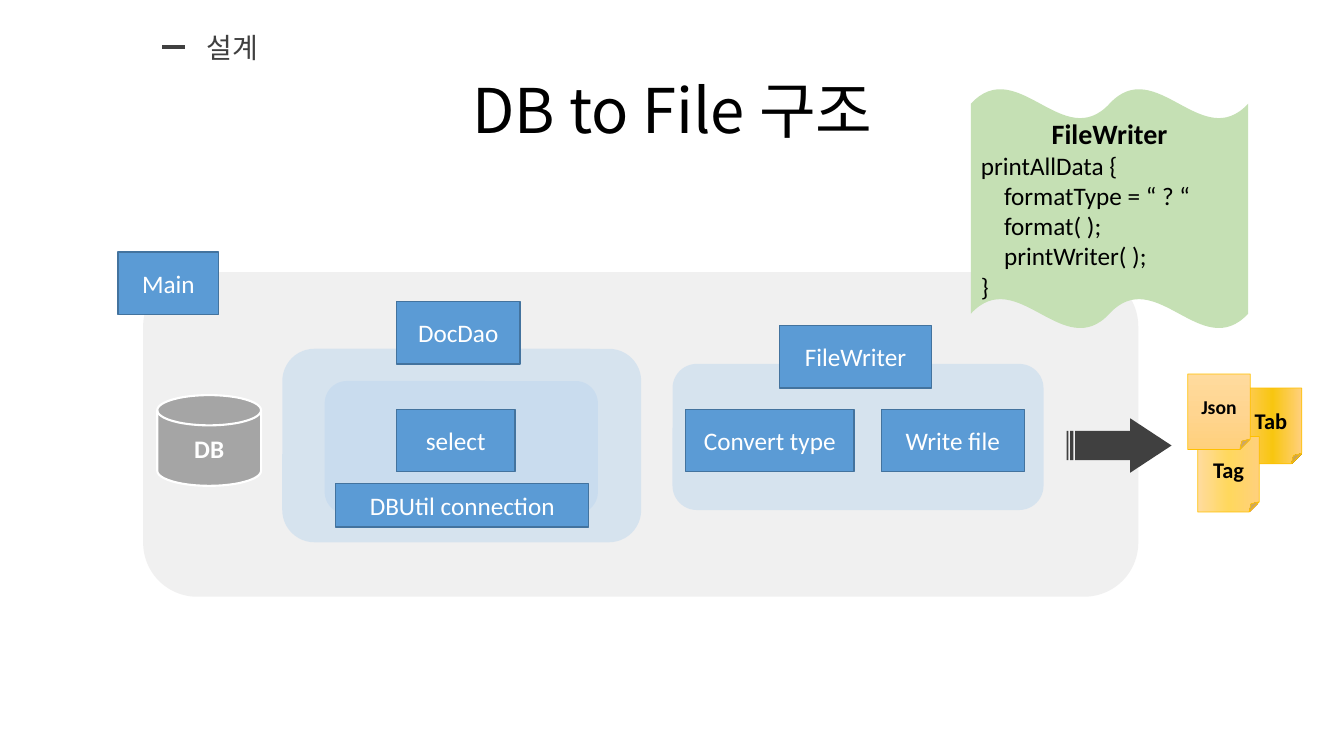
from lxml import etree
from pptx import Presentation
from pptx.dml.color import RGBColor
from pptx.enum.shapes import MSO_CONNECTOR, MSO_SHAPE as SHAPE
from pptx.enum.text import MSO_ANCHOR as ANCHOR, MSO_AUTO_SIZE as FIT, PP_ALIGN as ALIGN
from pptx.oxml.ns import qn
from pptx.util import Emu, Pt

PX = 9144  # 100 px to the inch
LATIN, KOREAN = "Calibri", "Noto Sans CJK KR"
COLORS = {
    "outer": "D0CECE", "panel": "BDD7EE", "box": "5B9BD5", "box_line": "43739E",
    "disk": "A5A5A5", "dark": "404040", "wave": "C5E0B4", "note_line": "FFC000",
    "black": "000000", "white": "FFFFFF",
}
PANELS = [
    ((142, 270, 987, 322), "outer", 30),
    ((322, 378, 271, 132), "panel", 50),
    ((667, 361, 368, 145), "panel", 50),
    ((280, 346, 356, 192), "panel", 50),
]
BOXES = [
    ("Main", (117, 250, 100, 62)),
    ("FileWriter", (773, 323, 151, 62)),
    ("Convert type", (680, 406, 167, 62)),
    ("Write file", (874, 406, 142, 62)),
    ("DocDao", (393, 299, 123, 62)),
    ("select", (393, 406, 118, 62)),
    ("DBUtil connection", (333, 480, 251, 43)),
]
NOTES = [
    ("Tab", (1230, 385, 61, 75), 16, 0, [(0, "FFCC65"), (53, "F8C610"), (100, "FFD07C")]),
    ("Tag", (1188, 433, 61, 75), 16, 0, [(0, "FFDB9E"), (50, "FFD85D"), (100, "FFD07C")]),
    ("Json", (1178, 371, 62, 75), 14, 90, [(0, "FFDB9E"), (50, "FFD590"), (100, "FFD07C")]),
]
CODE = [
    ("printAllData {", 0), ("formatType = “ ? “", 23), ("format( );", 23),
    ("printWriter( );", 23), ("}", 0),
]


def px(*values):
    return [Emu(v * PX) for v in values]


def rgb(name):
    return RGBColor.from_string(COLORS[name])


def add_run(p, text, size, color, font=LATIN, bold=False):
    r = p.add_run()
    r.text = text
    r.font.size, r.font.bold, r.font.name = Pt(size), bold, font
    r.font.color.rgb = rgb(color)
    etree.SubElement(r._r.get_or_add_rPr(), qn("a:ea"), typeface=font)


def add_shape(s, kind, at, fill=None, line=None, width=1):
    sp = s.shapes.add_shape(kind, *px(*at))
    sp.shadow.inherit = False
    if fill:
        sp.fill.solid()
        sp.fill.fore_color.rgb = rgb(fill)
    if line:
        sp.line.color.rgb = rgb(line)
        sp.line.width = Pt(width)
    else:
        sp.line.fill.background()
    return sp


def add_label(sp, text, size, color, bold=False):
    tf = sp.text_frame
    tf.word_wrap, tf.vertical_anchor = True, ANCHOR.MIDDLE
    p = tf.paragraphs[0]
    p.alignment = ALIGN.CENTER
    add_run(p, text, size, color, bold=bold)
    return tf


def add_panel(s, at, color, opacity):
    sp = add_shape(s, SHAPE.ROUNDED_RECTANGLE, at, color)
    clr = sp._element.spPr.find(qn("a:solidFill"))[0]
    etree.SubElement(clr, qn("a:alpha"), val=str(opacity * 1000))


def add_note(s, text, at, size, angle, stops):
    sp = add_shape(s, SHAPE.FOLDED_CORNER, at, line="note_line", width=0.5)
    sp.fill.gradient()
    grad = sp._element.spPr.find(qn("a:gradFill"))
    stop_list = grad.find(qn("a:gsLst"))
    for old in list(stop_list):
        stop_list.remove(old)
    for pos, color in stops:
        gs = etree.SubElement(stop_list, qn("a:gs"), pos=str(pos * 1000))
        etree.SubElement(gs, qn("a:srgbClr"), val=color)
    grad.find(qn("a:lin")).set("ang", str(angle * 60000))
    add_label(sp, text, size, "black", True)


def add_code_wave(s):
    sp = add_shape(s, SHAPE.DOUBLE_WAVE, (963, 88, 275, 238), "wave")
    tf = add_label(sp, "FileWriter", 20, "black", True)
    for text, indent in CODE:
        p = tf.add_paragraph()
        p.alignment = ALIGN.LEFT
        if indent:
            p._p.get_or_add_pPr().set("marL", str(indent * PX))
        add_run(p, text, 18, "black")


def add_title(s):
    title = s.shapes.title
    title.left, title.top, title.width, title.height = px(92, 40, 1150, 145)
    tf = title.text_frame
    tf.auto_size, tf.vertical_anchor = FIT.NONE, ANCHOR.MIDDLE
    p = tf.paragraphs[0]
    p.alignment, p.line_spacing = ALIGN.CENTER, 0.9
    add_run(p, "DB to File 구조", 44, "black", KOREAN)


def add_section_label(s):
    tf = s.shapes.add_textbox(*px(195, 25, 77, 44)).text_frame
    tf.word_wrap, tf.auto_size = True, FIT.SHAPE_TO_FIT_TEXT
    add_run(tf.paragraphs[0], "설계", 20, "dark", KOREAN)
    dash = s.shapes.add_connector(MSO_CONNECTOR.STRAIGHT, *px(161, 47, 184, 47))
    dash.line.color.rgb, dash.line.width = rgb("dark"), Pt(3)
    etree.SubElement(dash._element.spPr, qn("a:effectLst"))


def main():
    prs = Presentation()
    prs.slide_width, prs.slide_height = px(1333, 750)
    s = prs.slides.add_slide(prs.slide_layouts[5])
    add_title(s)
    for panel in PANELS:
        add_panel(s, *panel)
    disk = add_shape(s, SHAPE.FLOWCHART_MAGNETIC_DISK, (156, 392, 103, 90), "disk", "white", 1.5)
    add_label(disk, "DB", 18, "white", True)
    for text, at in BOXES:
        add_label(add_shape(s, SHAPE.RECTANGLE, at, "box", "box_line"), text, 18, "white")
    arrow = add_shape(s, SHAPE.STRIPED_RIGHT_ARROW, (1058, 415, 104, 54), "dark")
    arrow.adjustments[0], arrow.adjustments[1] = 0.54, 0.76
    add_section_label(s)
    add_code_wave(s)
    for note in NOTES:
        add_note(s, *note)
    prs.save("out.pptx")


if __name__ == "__main__":
    main()
